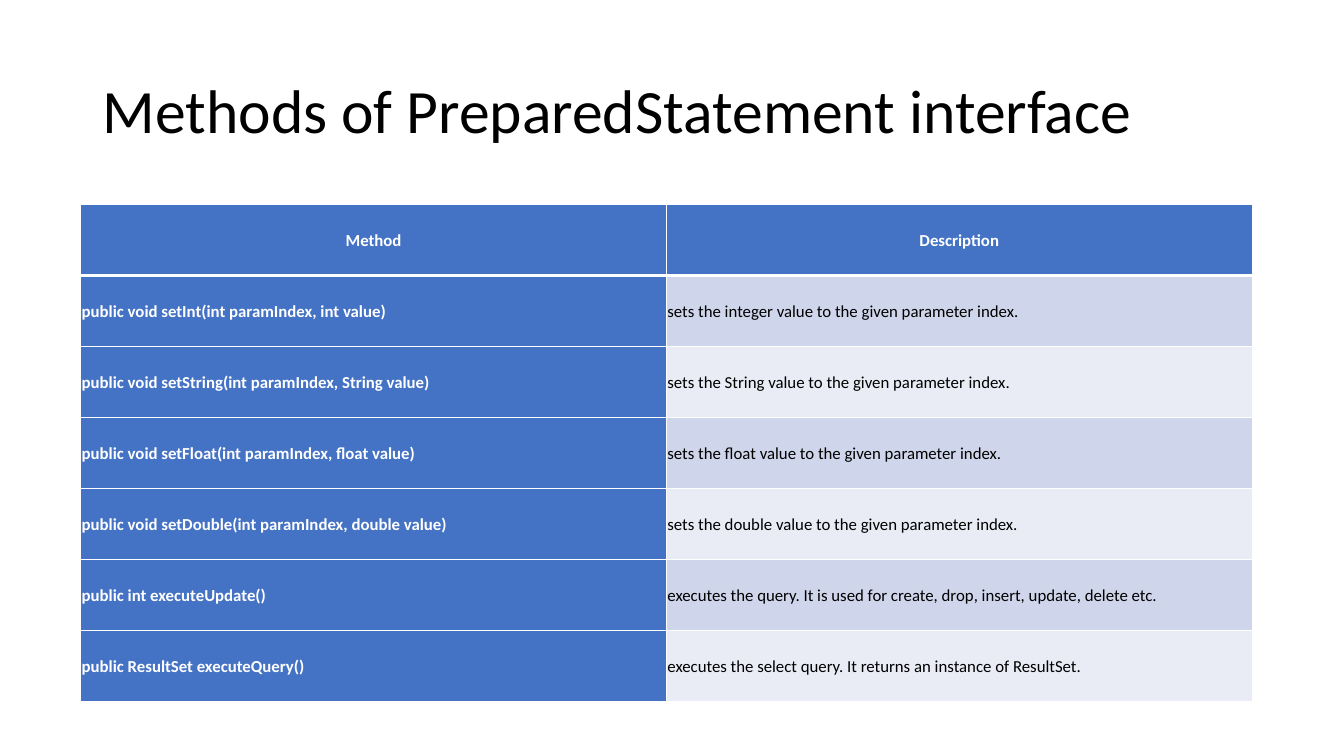
from dataclasses import dataclass

from lxml import etree
from pptx import Presentation
from pptx.dml.color import RGBColor
from pptx.enum.text import MSO_ANCHOR, PP_ALIGN
from pptx.oxml.ns import qn
from pptx.slide import Slide
from pptx.table import _Cell
from pptx.text.text import TextFrame
from pptx.util import Inches, Pt

LEFT, CENTER = PP_ALIGN.LEFT, PP_ALIGN.CENTER
MIDDLE = MSO_ANCHOR.MIDDLE


@dataclass(frozen=True)
class Theme:
    font: str = "Calibri"
    title: int = 44
    body: int = 12
    ink: str = "000000"
    white: str = "FFFFFF"
    blue: str = "4472C4"
    bands: tuple[str, str] = ("CFD5EA", "E9EBF5")
    thin: int = 1
    thick: int = 3


@dataclass(frozen=True)
class Box:
    left: float
    top: float
    width: float
    height: float

    def place(self) -> tuple[int, int, int, int]:
        return (Inches(self.left), Inches(self.top),
                Inches(self.width), Inches(self.height))


@dataclass(frozen=True)
class Method:
    code: str
    about: str


THEME = Theme()
WIDE, HIGH = 13.33, 7.5
INSET = 0.01
TITLE = Box(0.92, 0.4, 11.5, 1.45)
GRID = Box(0.8, 2.03, 11.62, 4.93)
HEADS = ("Method", "Description")
METHODS = (
    Method("public void setInt(int paramIndex, int value)",
           "sets the integer value to the given parameter index."),
    Method("public void setString(int paramIndex, String value)",
           "sets the String value to the given parameter index."),
    Method("public void setFloat(int paramIndex, float value)",
           "sets the float value to the given parameter index."),
    Method("public void setDouble(int paramIndex, double value)",
           "sets the double value to the given parameter index."),
    Method("public int executeUpdate()",
           "executes the query. It is used for create, drop, insert, update, delete etc."),
    Method("public ResultSet executeQuery()",
           "executes the select query. It returns an instance of ResultSet."),
)


def write(frame: TextFrame, text: str, *, size: int, color: str,
          bold: bool = False, align: PP_ALIGN = LEFT, line: float = 1.07) -> None:
    frame.word_wrap = True
    para = frame.paragraphs[0]
    para.alignment = align
    para.line_spacing = line
    run = para.add_run()
    run.text = text
    run.font.name = THEME.font
    run.font.size = Pt(size)
    run.font.bold = bold
    run.font.color.rgb = RGBColor.from_string(color)


def edge(cell: _Cell, widths: dict[str, int]) -> None:
    """Draw the cell's borders, which the schema wants ahead of its fill."""
    props = cell._tc.get_or_add_tcPr()
    for spot, (side, width) in enumerate(widths.items()):
        line = etree.Element(qn(f"a:ln{side}"), w=str(Pt(width)))
        fill = etree.SubElement(line, qn("a:solidFill"))
        etree.SubElement(fill, qn("a:srgbClr"), val=THEME.white)
        props.insert(spot, line)


def add_title(slide: Slide, text: str) -> None:
    frame = slide.shapes.add_textbox(*TITLE.place()).text_frame
    frame.vertical_anchor = MIDDLE
    write(frame, text, size=THEME.title, color=THEME.ink, line=0.9)


def fill_cell(cell: _Cell, text: str, row: int, col: int) -> None:
    head = row == 0
    strong = head or col == 0
    cell.margin_left = cell.margin_right = Inches(INSET)
    cell.margin_top = cell.margin_bottom = Inches(INSET)
    cell.vertical_anchor = MIDDLE
    cell.fill.solid()
    shade = THEME.blue if strong else THEME.bands[(row - 1) % 2]
    cell.fill.fore_color.rgb = RGBColor.from_string(shade)
    edge(cell, {"L": THEME.thin, "R": THEME.thin,
                "T": THEME.thick if row == 1 else THEME.thin,
                "B": THEME.thick if head else THEME.thin})
    write(cell.text_frame, text, size=THEME.body, bold=strong,
          color=THEME.white if strong else THEME.ink,
          align=CENTER if head else LEFT)


def add_grid(slide: Slide) -> None:
    rows = [HEADS, *((item.code, item.about) for item in METHODS)]
    table = slide.shapes.add_table(len(rows), len(HEADS), *GRID.place()).table
    table.first_col = True
    for row, texts in enumerate(rows):
        for col, text in enumerate(texts):
            fill_cell(table.cell(row, col), text, row, col)


def main() -> None:
    deck = Presentation()
    deck.slide_width, deck.slide_height = Inches(WIDE), Inches(HIGH)
    slide = deck.slides.add_slide(deck.slide_layouts[6])
    add_title(slide, "Methods of PreparedStatement interface")
    add_grid(slide)
    deck.save("out.pptx")


if __name__ == "__main__":
    main()
